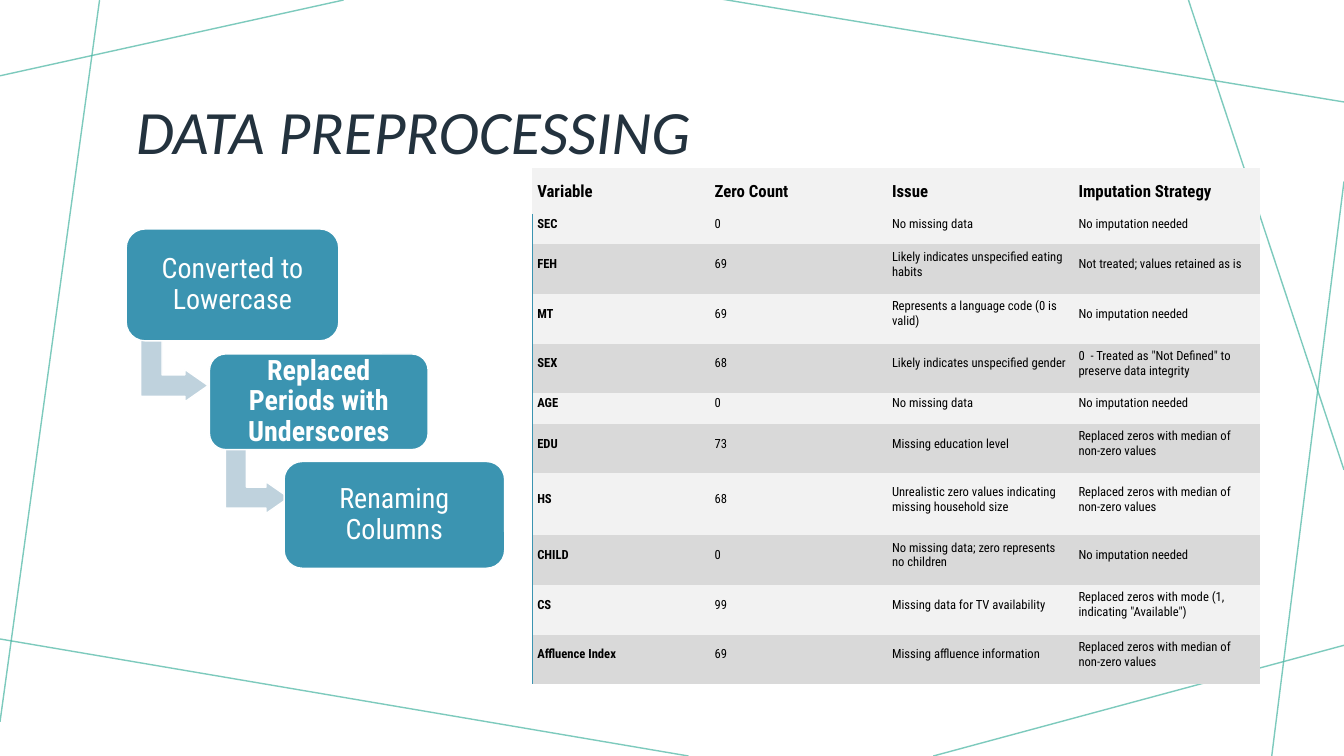
from dataclasses import dataclass

from lxml.etree import SubElement
from pptx import Presentation
from pptx.dml.color import RGBColor
from pptx.enum.shapes import MSO_CONNECTOR, MSO_SHAPE
from pptx.enum.text import MSO_ANCHOR, PP_ALIGN
from pptx.oxml import parse_xml
from pptx.oxml.ns import nsdecls, qn
from pptx.util import Cm, Pt


@dataclass(frozen=True)
class Theme:
    accent: str = "3B94B1"
    arrow: str = "BFD2DD"
    backdrop: str = "46B4A1"
    title: str = "23323E"
    text: str = "000000"
    white: str = "FFFFFF"
    light_row: str = "F2F2F2"
    dark_row: str = "D9D9D9"
    title_font: str = "Calibri"
    body_font: str = "Roboto Condensed"
    title_size: int = 44
    step_size: int = 20
    header_size: int = 12
    cell_size: int = 9
    plain_table: str = "{2D5ABB26-0587-4C30-8999-92F81FD0307C}"


class SlideBuilder:
    def __init__(self, slide, theme):
        self.shapes = slide.shapes
        self.theme = theme

    def add_text(self, frame, text, size, color, font=None, align=PP_ALIGN.LEFT,
                 spacing=1.0, bold=False, italic=False):
        paragraph = frame.paragraphs[0]
        for name, value in {"alignment": align, "line_spacing": spacing}.items():
            setattr(paragraph, name, value)
        run = paragraph.add_run()
        run.text = text
        style = {"name": font or self.theme.body_font, "size": Pt(size),
                 "bold": bold, "italic": italic}
        for name, value in style.items():
            setattr(run.font, name, value)
        run.font.color.rgb = RGBColor.from_string(color)

    def set_frame(self, frame, inset_x, inset_y):
        settings = {"word_wrap": True, "vertical_anchor": MSO_ANCHOR.MIDDLE,
                    "margin_left": Cm(inset_x), "margin_right": Cm(inset_x),
                    "margin_top": Cm(inset_y), "margin_bottom": Cm(inset_y)}
        for name, value in settings.items():
            setattr(frame, name, value)

    def backdrop_line(self, *ends):
        line = self.shapes.add_connector(MSO_CONNECTOR.STRAIGHT, *map(Cm, ends))
        line.line.width = Pt(1)
        line.line.color.rgb = RGBColor.from_string(self.theme.backdrop)
        properties = line._element.spPr
        color = properties.find(".//" + qn("a:srgbClr"))
        SubElement(color, qn("a:alpha"), val="70000")
        SubElement(properties, qn("a:effectLst"))

    def title(self, text, *box):
        heading = self.shapes.add_textbox(*map(Cm, box))
        self.set_frame(heading.text_frame, 0.25, 0.13)
        self.add_text(heading.text_frame, text, self.theme.title_size, self.theme.title,
                      self.theme.title_font, spacing=0.9, italic=True)

    def block(self, kind, fill, box, adjustments):
        block = self.shapes.add_shape(kind, *map(Cm, box))
        block.shadow.inherit = False
        block.fill.solid()
        block.fill.fore_color.rgb = RGBColor.from_string(fill)
        block.line.color.rgb = RGBColor.from_string(self.theme.white)
        block.line.width = Pt(1)
        for index, value in enumerate(adjustments):
            block.adjustments[index] = value
        return block

    def bent_arrow(self, *box):
        arrow = self.block(MSO_SHAPE.BENT_UP_ARROW, self.theme.arrow, box,
                           (0.33, 0.25, 0.36))
        arrow.rotation = 90

    def step(self, text, box, bold=False):
        step = self.block(MSO_SHAPE.ROUNDED_RECTANGLE, self.theme.accent, box, (0.17,))
        self.set_frame(step.text_frame, 0.33, 0.33)
        self.add_text(step.text_frame, text, self.theme.step_size, self.theme.white,
                      align=PP_ALIGN.CENTER, spacing=0.9, bold=bold)

    def left_border(self, cell):
        border = parse_xml(
            f'<a:lnL {nsdecls("a")} w="12700"><a:solidFill>'
            f'<a:srgbClr val="{self.theme.accent}"/></a:solidFill></a:lnL>')
        cell._tc.get_or_add_tcPr().insert(0, border)

    def cell(self, cell, text, row, column):
        header = row == 0
        settings = {"margin_left": Cm(0.13), "margin_right": Cm(0.13),
                    "margin_top": Cm(0.05), "margin_bottom": Cm(0.3),
                    "vertical_anchor": MSO_ANCHOR.BOTTOM if header else MSO_ANCHOR.MIDDLE}
        for name, value in settings.items():
            setattr(cell, name, value)
        band = self.theme.dark_row if row and row % 2 == 0 else self.theme.light_row
        cell.fill.solid()
        cell.fill.fore_color.rgb = RGBColor.from_string(band)
        size = self.theme.header_size if header else self.theme.cell_size
        self.add_text(cell.text_frame, text, size, self.theme.text,
                      bold=header or column == 0)
        if column == 0 and not header:
            self.left_border(cell)

    def table(self, left, top, widths, heights, rows):
        frame = self.shapes.add_table(len(rows), len(widths), Cm(left), Cm(top),
                                      Cm(sum(widths)), Cm(sum(heights)))
        table = frame.table
        table._tbl.tblPr.find(qn("a:tableStyleId")).text = self.theme.plain_table
        for column, width in zip(table.columns, widths):
            column.width = Cm(width)
        for row, height in zip(table.rows, heights):
            row.height = Cm(height)
        for r, texts in enumerate(rows):
            for c, text in enumerate(texts):
                self.cell(table.cell(r, c), text, r, c)


WIDTH, HEIGHT = 33.87, 19.05

BACKDROP_LINES = [
    (8.66, 0, 0, 1.91),
    (2.51, 0, 0, 18.19),
    (17.35, HEIGHT, -0.13, 16.08),
    (WIDTH, 16.26, 23.52, HEIGHT),
    (WIDTH, 4.57, 32.05, HEIGHT),
    (WIDTH, 11.84, 29.95, 0),
    (WIDTH, 2.57, 18.14, -0.03),
]

NO_IMPUTATION = "No imputation needed"
USE_MEDIAN = "Replaced zeros with median of non-zero values"
IMPUTATIONS = [
    ("Variable", "Zero Count", "Issue", "Imputation Strategy"),
    ("SEC", "0", "No missing data", NO_IMPUTATION),
    ("FEH", "69", "Likely indicates unspecified eating habits",
     "Not treated; values retained as is"),
    ("MT", "69", "Represents a language code (0 is valid)", NO_IMPUTATION),
    ("SEX", "68", "Likely indicates unspecified gender",
     '0  - Treated as "Not Defined" to preserve data integrity'),
    ("AGE", "0", "No missing data", NO_IMPUTATION),
    ("EDU", "73", "Missing education level", USE_MEDIAN),
    ("HS", "68", "Unrealistic zero values indicating missing household size", USE_MEDIAN),
    ("CHILD", "0", "No missing data; zero represents no children", NO_IMPUTATION),
    ("CS", "99", "Missing data for TV availability",
     'Replaced zeros with mode (1, indicating "Available")'),
    ("Affluence Index", "69", "Missing affluence information", USE_MEDIAN),
]
SPECIAL_HEIGHTS = {"Variable": 1.15, "SEC": 0.77, "AGE": 0.77, "HS": 1.56}


def main():
    deck = Presentation()
    deck.slide_width, deck.slide_height = Cm(WIDTH), Cm(HEIGHT)
    builder = SlideBuilder(deck.slides.add_slide(deck.slide_layouts[6]), Theme())

    # Backdrop and title
    for ends in BACKDROP_LINES:
        builder.backdrop_line(*ends)
    builder.title("DATA PREPROCESSING", 3.18, 1.47, 27.51, 3.84)

    # Staircase of cleaning steps
    builder.bent_arrow(3.58, 8.46, 1.63, 1.7)
    builder.step("Converted to Lowercase", (3.18, 5.77, 5.36, 2.82))
    builder.bent_arrow(5.44, 11.1, 2.08, 1.6)
    builder.step("Replaced Periods with Underscores", (5.28, 8.92, 5.51, 2.41), bold=True)
    builder.step("Renaming Columns", (7.16, 11.63, 5.56, 2.69))

    # Imputation table
    heights = [SPECIAL_HEIGHTS.get(row[0], 1.25) for row in IMPUTATIONS]
    builder.table(13.41, 4.24, (4.47, 4.47, 4.7, 4.7), heights, IMPUTATIONS)

    deck.save("out.pptx")


if __name__ == "__main__":
    main()
